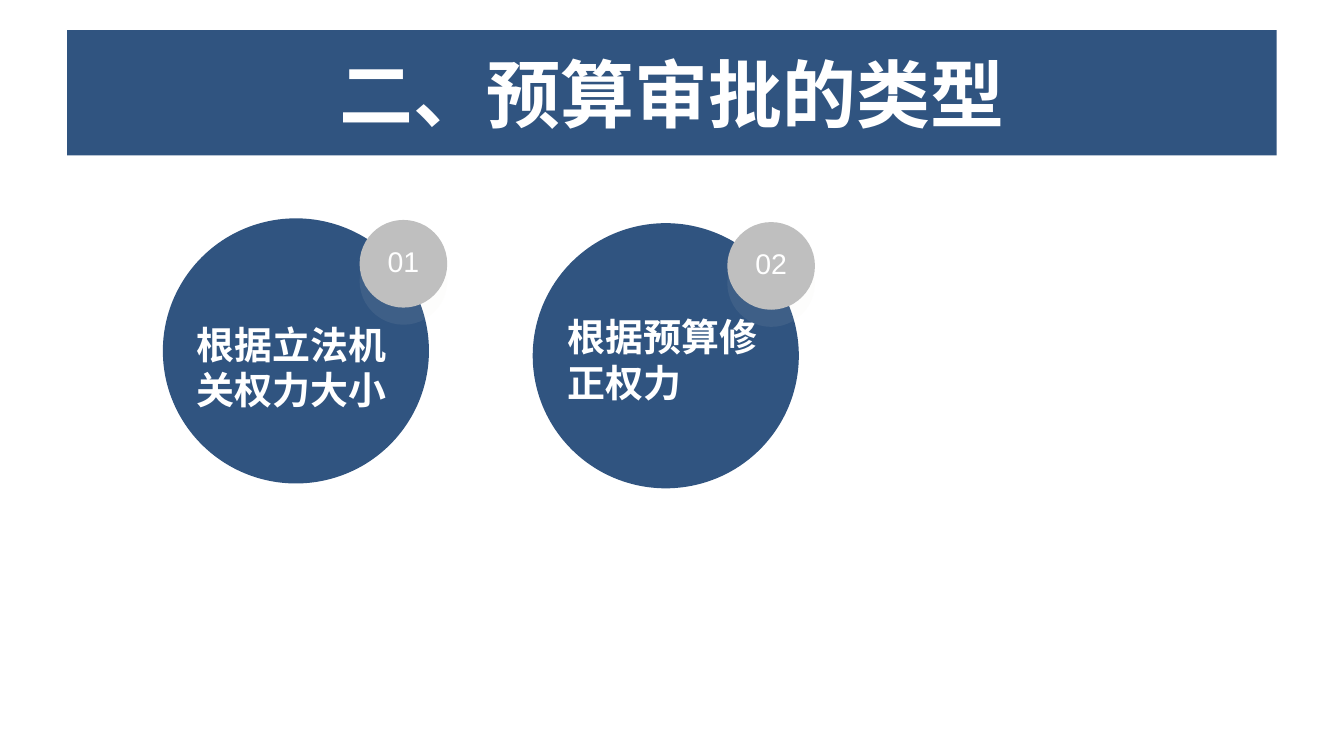
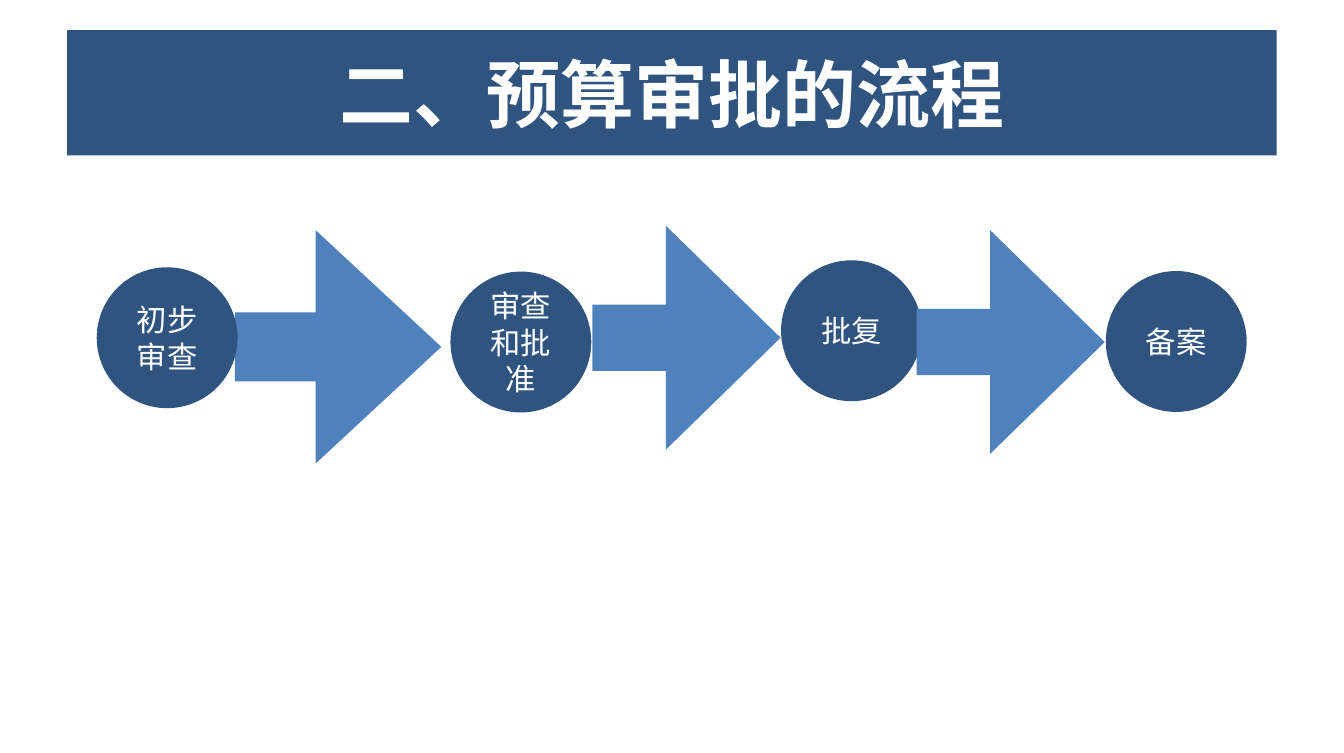
from lxml.etree import SubElement
from pptx import Presentation
from pptx.dml.color import RGBColor
from pptx.enum.shapes import MSO_SHAPE
from pptx.enum.text import MSO_ANCHOR, PP_ALIGN
from pptx.oxml.ns import qn
from pptx.util import Cm, Pt

NAVY, BLUE, GREY, WHITE = "305480", "4F81BD", "BFBFBF", "FFFFFF"
SHADOW = "EEECE1"
HEAD_FONT, LABEL_FONT = "Calibri", "Arial"
STEP_SIZE = 2.62


def rgb(color):
    """Turn a hex string into a colour."""
    return RGBColor.from_string(color)


def add_text(sp, text, font, size, bold=False, align=PP_ALIGN.CENTER,
             anchor=MSO_ANCHOR.MIDDLE, insets=(0.25, 0.13, 0.25, 0.13)):
    """Write one white run into a shape or text box."""
    tf = sp.text_frame
    tf.word_wrap = True
    tf.vertical_anchor = anchor
    tf.margin_left, tf.margin_top, tf.margin_right, tf.margin_bottom = map(Cm, insets)
    p = tf.paragraphs[0]
    p.alignment = align
    r = p.add_run()
    r.text = text
    r.font.name = font
    r.font.size = Pt(size)
    r.font.bold = bold
    r.font.color.rgb = rgb(WHITE)
    SubElement(r.font._element, qn("a:ea"), typeface=font)


def add_shape(s, kind, left, top, width, height, color):
    """Add a flat preset shape without outline."""
    sp = s.shapes.add_shape(kind, Cm(left), Cm(top), Cm(width), Cm(height))
    sp.shadow.inherit = False
    sp.fill.solid()
    sp.fill.fore_color.rgb = rgb(color)
    sp.line.fill.background()
    return sp


def add_drop_shadow(sp):
    """Give a shape a faint hard shadow straight below it."""
    effects = sp._element.spPr.find(qn("a:effectLst"))
    shadow = SubElement(effects, qn("a:outerShdw"), blurRad="0",
                        dist=str(Pt(9)), dir="5400000", rotWithShape="0")
    color = SubElement(shadow, qn("a:srgbClr"), val=SHADOW)
    SubElement(color, qn("a:alpha"), val="7000")


def add_titled_slide(prs, title):
    """Add a blank slide with the title band."""
    s = prs.slides.add_slide(prs.slide_layouts[6])
    band = add_shape(s, MSO_SHAPE.RECTANGLE, 1.25, 0.56, 22.5, 2.33, NAVY)
    add_text(band, title, HEAD_FONT, 39, bold=True, insets=(0.23, 0.1, 0.23, 0.1))
    return s


def add_type(s, number, text, disc, badge, label):
    """Add a large disc with its numbered badge and label."""
    add_shape(s, MSO_SHAPE.OVAL, *disc, 4.95, 4.93, NAVY)
    sp = add_shape(s, MSO_SHAPE.OVAL, *badge, 1.63, 1.63, GREY)
    add_drop_shadow(sp)
    add_text(sp, number, LABEL_FONT, 15, insets=(0, 0, 0, 0.1))
    left, top = label
    box = s.shapes.add_textbox(Cm(left), Cm(top), Cm(3.71), Cm(1.7))
    add_text(box, text, LABEL_FONT, 20, bold=True, align=PP_ALIGN.LEFT,
             anchor=MSO_ANCHOR.TOP, insets=(0, 0, 0, 0))


def add_step(s, text, left, top):
    """Add a round process step."""
    sp = add_shape(s, MSO_SHAPE.OVAL, left, top, STEP_SIZE, STEP_SIZE, NAVY)
    add_text(sp, text, HEAD_FONT, 16)


def add_arrow(s, left, top, width, height):
    """Add a block arrow between two steps."""
    sp = add_shape(s, MSO_SHAPE.RIGHT_ARROW, left, top, width, height, BLUE)
    sp.adjustments[0] = 0.296
    sp.adjustments[1] = 0.609


def build_types(prs):
    """Build the slide on types of approval."""
    s = add_titled_slide(prs, "二、预算审批的类型")
    add_type(s, "01", "根据立法机关权力大小", (3.03, 4.06), (6.69, 4.09), (3.66, 5.97))
    add_type(s, "02", "根据预算修正权力", (9.91, 4.15), (13.53, 4.13), (10.55, 5.83))


def build_process(prs):
    """Build the slide on the approval process."""
    s = add_titled_slide(prs, "二、预算审批的流程")
    add_arrow(s, 4.37, 4.28, 3.84, 4.34)
    add_arrow(s, 11.02, 4.2, 3.5, 4.16)
    add_step(s, "初步审查", 1.8, 4.97)
    add_step(s, "审查和批准", 8.38, 5.05)
    add_step(s, "批复", 14.53, 4.84)
    add_arrow(s, 17.05, 4.28, 3.5, 4.16)
    add_step(s, "备案", 20.57, 5.04)


def main():
    """Create and save the presentation."""
    prs = Presentation()
    prs.slide_width, prs.slide_height = Cm(25), Cm(14)
    build_types(prs)
    build_process(prs)
    prs.save("out.pptx")


if __name__ == "__main__":
    main()
